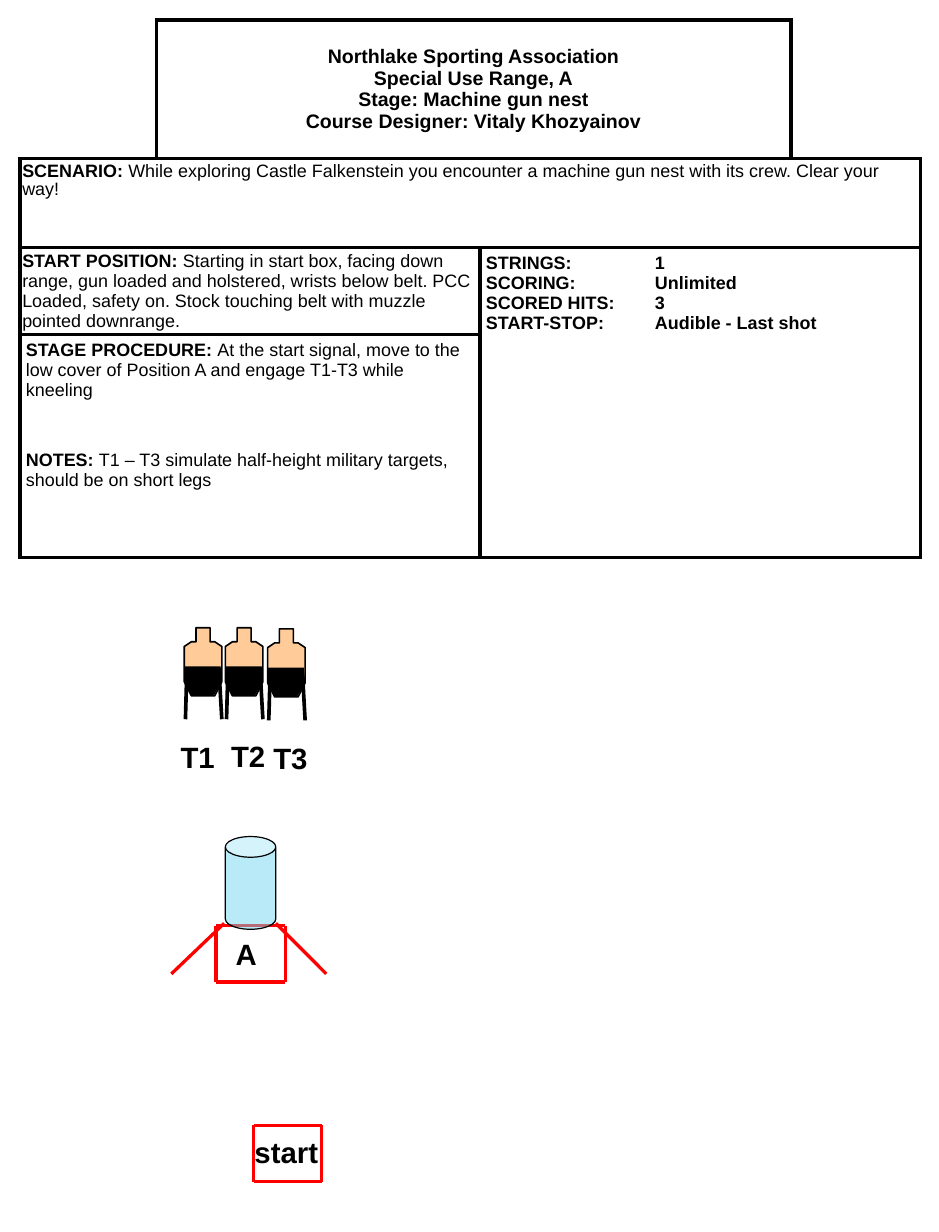
import dataclasses

import lxml.etree
import pptx
import pptx.dml.color
import pptx.enum.shapes
import pptx.enum.text
import pptx.oxml.ns
import pptx.util

Inches, Pt = pptx.util.Inches, pptx.util.Pt
qn = pptx.oxml.ns.qn
MIDDLE = pptx.enum.text.MSO_ANCHOR.MIDDLE
TOP = pptx.enum.text.MSO_ANCHOR.TOP
CENTER = pptx.enum.text.PP_ALIGN.CENTER


@dataclasses.dataclass(frozen=True)
class Theme:
    font: str = "Arial"
    ink: pptx.dml.color.RGBColor = pptx.dml.color.RGBColor(0, 0, 0)
    paper: pptx.dml.color.RGBColor = pptx.dml.color.RGBColor(255, 255, 255)
    wall: pptx.dml.color.RGBColor = pptx.dml.color.RGBColor(255, 0, 0)
    cardboard: pptx.dml.color.RGBColor = pptx.dml.color.RGBColor(0xFF, 0xCC, 0x99)
    barrel: pptx.dml.color.RGBColor = pptx.dml.color.RGBColor(0x73, 0xD9, 0xF1)
    heading: float = 12
    body: float = 11
    label: float = 18


theme = Theme()


def write_runs(paragraph, runs, size):
    """Add (text, bold) runs to a paragraph; a newline is a line break."""
    for text, bold in runs:
        for number, line in enumerate(text.split("\n")):
            if number:
                paragraph.add_line_break()
            run = paragraph.add_run()
            run.text = line
            look = {"name": theme.font, "size": Pt(size), "bold": bold}
            for attribute, value in look.items():
                setattr(run.font, attribute, value)
            run.font.color.rgb = theme.ink


def draw_line(shapes, start, end, color, weight):
    """Draw a straight line between two points in inches."""
    line = shapes.add_connector(
        pptx.enum.shapes.MSO_CONNECTOR.STRAIGHT,
        *(Inches(value) for value in (*start, *end)))
    line.line.color.rgb = color
    line.line.width = Pt(weight)
    lxml.etree.SubElement(line._element.spPr, qn("a:effectLst"))


presentation = pptx.Presentation()
presentation.slide_width = Inches(8)
presentation.slide_height = Inches(10.5)
slide = presentation.slides.add_slide(presentation.slide_layouts[6])

# Stage briefing table
columns = [1.16, 2.76, 2.65, 1.1]
rows = [1.18, 0.76, 0.74, 1.9]
briefing = slide.shapes.add_table(
    len(rows), len(columns), Inches(0.17), Inches(0.17),
    Inches(sum(columns)), Inches(sum(rows))).table
briefing.first_row = briefing.horz_banding = False
for column, width in zip(briefing.columns, columns):
    column.width = Inches(width)
for row, height in zip(briefing.rows, rows):
    row.height = Inches(height)

# Fills and borders; the two top corners stay open on the outside
open_sides = {(0, 0): ("lnL", "lnT"), (0, 3): ("lnR", "lnT")}
for r in range(len(rows)):
    for c in range(len(columns)):
        cell = briefing.cell(r, c)
        cell.fill.solid()
        cell.fill.fore_color.rgb = theme.paper
        for order, side in enumerate(("lnL", "lnR", "lnT", "lnB")):
            border = lxml.etree.Element(qn(f"a:{side}"), w=str(Pt(2.25)))
            if side in open_sides.get((r, c), ()):
                lxml.etree.SubElement(border, qn("a:noFill"))
            else:
                paint = lxml.etree.SubElement(border, qn("a:solidFill"))
                lxml.etree.SubElement(paint, qn("a:srgbClr"), val=str(theme.ink))
            cell._tc.tcPr.insert(order, border)

# Cell text: first cell, last cell, side and top insets, size, anchor, paragraphs
scores = [("STRINGS:", "1"), ("SCORING:", "Unlimited"),
          ("SCORED HITS:", "3"), ("START-STOP:", "Audible - Last shot")]
sections = [
    ((0, 1), (0, 2), 0.05, 0.05, theme.heading, MIDDLE, [[(
        "Northlake Sporting Association\nSpecial Use Range, A\n"
        "Stage: Machine gun nest\nCourse Designer: Vitaly Khozyainov", True)]]),
    ((1, 0), (1, 3), 0.02, 0.04, theme.body, TOP, [[
        ("SCENARIO: ", True),
        ("While exploring Castle Falkenstein you encounter a machine gun nest "
         "with its crew. Clear your way!", False)]]),
    ((2, 0), (2, 1), 0.02, 0.03, theme.body, TOP, [[
        ("START POSITION: ", True),
        ("Starting in start box, facing down range, gun loaded and holstered, "
         "wrists below belt. PCC Loaded, safety on. Stock touching belt with "
         "muzzle pointed downrange.", False)]]),
    ((2, 2), (3, 3), 0.05, 0.05, theme.body, TOP,
     [[(f"{name}\t{value}", True)] for name, value in scores]),
    ((3, 0), (3, 1), 0.05, 0.05, theme.body, TOP, [
        [("STAGE PROCEDURE: ", True),
         ("At the start signal, move to the low cover of Position A and engage "
          "T1-T3 while kneeling", False)],
        [("NOTES: ", True),
         ("T1 – T3 simulate half-height military targets, should be on short "
          "legs", False)]]),
]
for first, last, side, top, size, anchor, paragraphs in sections:
    cell = briefing.cell(*first)
    cell.merge(briefing.cell(*last))
    cell.margin_left = cell.margin_right = Inches(side)
    cell.margin_top = cell.margin_bottom = Inches(top)
    cell.vertical_anchor = anchor
    for number, runs in enumerate(paragraphs):
        frame = cell.text_frame
        paragraph = frame.add_paragraph() if number else frame.paragraphs[0]
        if first == (2, 2):
            tabs = lxml.etree.SubElement(
                paragraph._p.get_or_add_pPr(), qn("a:tabLst"))
            lxml.etree.SubElement(
                tabs, qn("a:tab"), pos=str(Inches(1.44)), algn="l")
        write_runs(paragraph, runs, size)
briefing.cell(0, 1).text_frame.paragraphs[0].alignment = CENTER
briefing.cell(1, 0).text_frame.paragraphs[0].line_spacing = 0.9
briefing.cell(3, 0).text_frame.paragraphs[1].space_before = Pt(30.5)

# Start box and position A
for left, top, width in [(2.16, 9.59, 0.58), (1.84, 7.89, 0.59)]:
    box = slide.shapes.add_group_shape().shapes
    right, bottom = left + width, top + 0.48
    corners = [(left, top), (right, top), (right, bottom), (left, bottom)]
    for start, end in zip(corners, corners[1:] + corners[:1]):
        draw_line(box, start, end, theme.wall, 2)

# Low cover walls
for start, end in [((1.91, 7.87), (1.46, 8.3)), ((2.78, 8.3), (2.35, 7.87))]:
    draw_line(slide.shapes, start, end, theme.wall, 2)

# Labels
for text, left, top, width in [
        ("T1", 1.44, 6.25, 0.58), ("T2", 1.87, 6.24, 0.59),
        ("T3", 2.23, 6.26, 2.09), ("start", 2.07, 9.62, 0.86),
        ("A", 1.91, 7.93, 0.37)]:
    label = slide.shapes.add_textbox(
        Inches(left), Inches(top), Inches(width), Inches(0.4))
    label.text_frame.word_wrap = True
    write_runs(label.text_frame.paragraphs[0], [(text, True)], theme.label)

# Barrel
barrel = slide.shapes.add_shape(
    pptx.enum.shapes.MSO_SHAPE.CAN,
    Inches(1.92), Inches(7.13), Inches(0.43), Inches(0.79))
barrel.adjustments[0] = 0.41
barrel.shadow.inherit = False
barrel.fill.solid()
barrel.fill.fore_color.rgb = theme.barrel
tint = barrel._element.spPr.find(qn("a:solidFill"))[0]
lxml.etree.SubElement(tint, qn("a:alpha"), val="50000")
barrel.line.color.rgb = theme.ink
barrel.line.width = Pt(0.75)

# Targets on short legs: cardboard body with a black lower half
body = [(0.1, 0), (0.22, 0), (0.22, 0.12), (0.26, 0.12), (0.32, 0.16),
        (0.32, 0.46), (0.26, 0.58), (0.06, 0.58), (0, 0.46), (0, 0.16),
        (0.06, 0.12), (0.1, 0.12)]
lower_half = [(0, 0.33), (0.31, 0.33), (0.32, 0.46), (0.25, 0.58),
              (0.06, 0.58), (0, 0.46)]
legs = [((0.02, 0.43), (0.01, 0.78)), ((0.3, 0.43), (0.32, 0.78))]
for left, top in [(1.57, 5.35), (1.92, 5.35), (2.28, 5.36)]:
    target = slide.shapes.add_group_shape().shapes
    for hip, foot in legs:
        draw_line(target, (left + hip[0], top + hip[1]),
                  (left + foot[0], top + foot[1]), theme.ink, 2.25)
    for outline, color in [(body, theme.cardboard), (lower_half, theme.ink)]:
        points = [(Inches(left + x), Inches(top + y)) for x, y in outline]
        builder = target.build_freeform(*points[0])
        builder.add_line_segments(points[1:], close=True)
        part = builder.convert_to_shape()
        part.shadow.inherit = False
        part.fill.solid()
        part.fill.fore_color.rgb = color
        if outline is body:
            part.line.color.rgb = theme.ink
            part.line.width = Pt(1)
        else:
            part.line.fill.background()

presentation.save("out.pptx")
